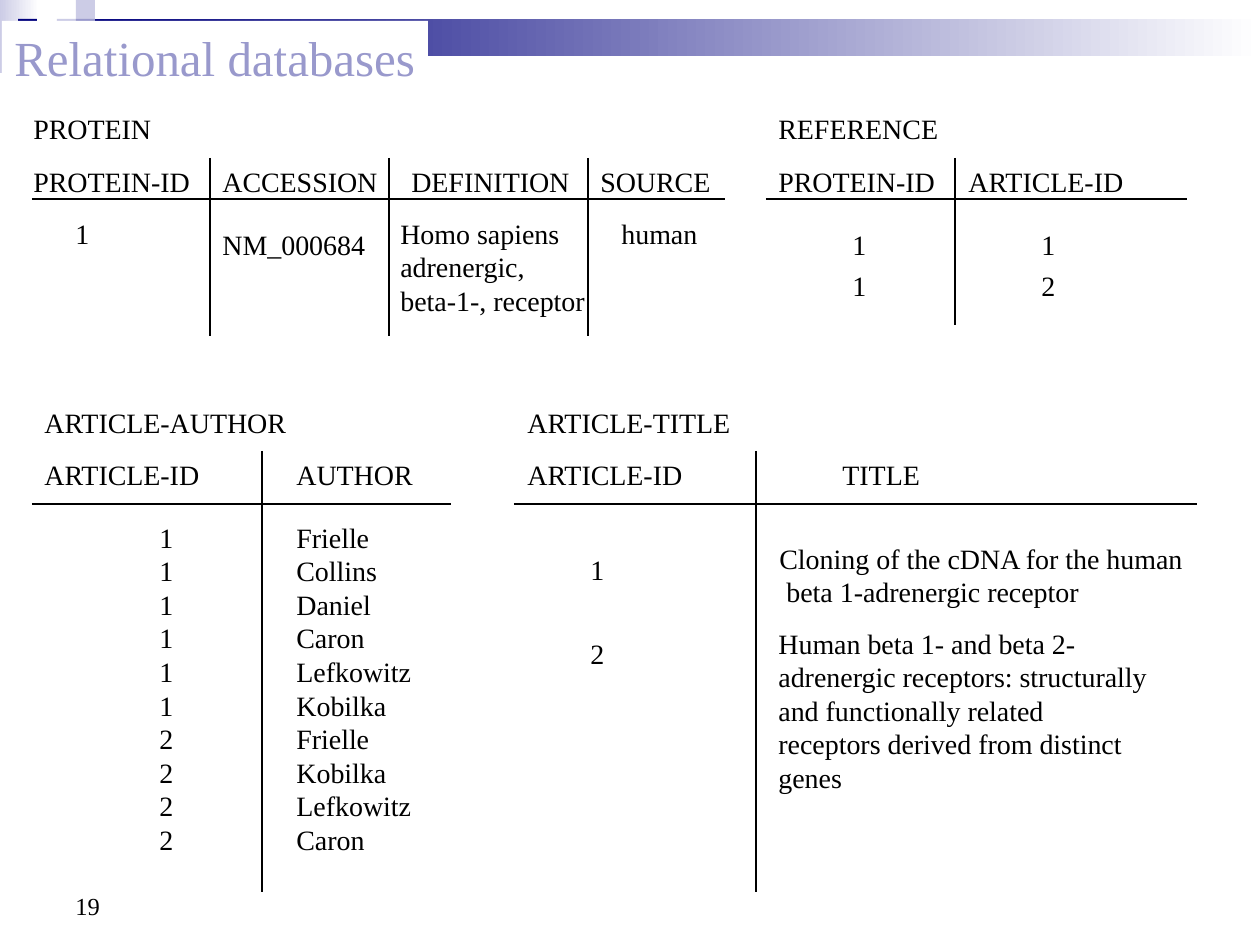
from lxml import etree
from pptx import Presentation
from pptx import util as u
from pptx.dml.color import RGBColor
from pptx.enum import shapes, text
from pptx.oxml.ns import qn

SCALE = 914400 / 126
FACE = "Times New Roman"
HUES = {"ink": "000000", "paper": "FFFFFF", "navy": "00007D",
        "mid": "9999CC", "pale": "CCCCE6"}
ROW = 47

TABLES = [
    {"rule": (32, 725, 199), "bars": (210, 389, 588), "span": (158, 336),
     "cells": [(21, 105, 146, "PROTEIN"), (21, 158, 185, "PROTEIN-ID"),
               (210, 158, 183, "ACCESSION"), (399, 158, 186, "DEFINITION"),
               (588, 158, 138, "SOURCE"), (63, 210, 39, "1"),
               (210, 221, 170, "NM_000684"), (609, 210, 103, "human")]},
    {"rule": (766, 1187, 199), "bars": (955,), "span": (158, 325),
     "cells": [(766, 105, 188, "REFERENCE"), (766, 158, 189, "PROTEIN-ID"),
               (956, 158, 184, "ARTICLE-ID"),
               (840, 221, 39, "1"), (1029, 221, 39, "1"),
               (840, 262, 39, "1"), (1029, 262, 39, "2")]},
    {"rule": (32, 451, 504), "bars": (262,), "span": (451, 892),
     "cells": [(32, 399, 270, "ARTICLE-AUTHOR"), (32, 451, 184, "ARTICLE-ID"),
               (284, 451, 146, "AUTHOR")]},
    {"rule": (514, 1197, 504), "bars": (756,), "span": (451, 892),
     "cells": [(515, 399, 232, "ARTICLE-TITLE"), (515, 451, 184, "ARTICLE-ID"),
               (830, 451, 107, "TITLE"),
               (578, 546, 39, "1"), (578, 630, 39, "2")]},
]
AUTHORS = [("1", "Frielle"), ("1", "Collins"), ("1", "Daniel"), ("1", "Caron"),
           ("1", "Lefkowitz"), ("1", "Kobilka"), ("2", "Frielle"),
           ("2", "Kobilka"), ("2", "Lefkowitz"), ("2", "Caron")]


def px(n):
    return u.Emu(round(n * SCALE))


def rgb(hue):
    return RGBColor.from_string(HUES[hue])


def apply(obj, form):
    for key, val in form.items():
        setattr(obj, key, val)


def band(slide, x, y, w, h, hue, fade=False):
    box = slide.shapes.add_shape(shapes.MSO_SHAPE.RECTANGLE,
                                 px(x), px(y), px(w), px(h))
    box.shadow.inherit = False
    box.line.fill.background()
    if fade:
        box.fill.gradient()
        box.fill.gradient_angle = 0
        for stop, tone, spot in zip(box.fill.gradient_stops,
                                    (hue, "paper"), (0, 1)):
            apply(stop, {"position": spot})
            stop.color.rgb = rgb(tone)
    else:
        box.fill.solid()
        box.fill.fore_color.rgb = rgb(hue)


def label(slide, x, y, w, h, *lines, wrap=False, size=16, hue="ink", **form):
    box = slide.shapes.add_textbox(px(x), px(y), px(w), px(h))
    frame = box.text_frame
    frame.text = "\n".join(lines)
    apply(frame, {"word_wrap": wrap,
                  "auto_size": text.MSO_AUTO_SIZE.SHAPE_TO_FIT_TEXT, **form})
    for para in frame.paragraphs:
        apply(para.font, {"name": FACE, "size": u.Pt(size)})
        para.font.color.rgb = rgb(hue)
    return box


def rule(slide, x1, y1, x2, y2):
    line = slide.shapes.add_connector(shapes.MSO_CONNECTOR.STRAIGHT,
                                      px(x1), px(y1), px(x2), px(y2))
    line.line.width = u.Pt(0.75)
    line.line.color.rgb = rgb("ink")
    etree.SubElement(line._element.spPr, qn("a:effectLst"))


def grid(slide, table):
    left, right, mid = table["rule"]
    top, end = table["span"]
    for x, y, w, word in table["cells"]:
        label(slide, x, y, w, ROW, word)
    rule(slide, left, mid, right, mid)
    for x in table["bars"]:
        rule(slide, x, top, x, end)


def header(slide):
    band(slide, 0, 0, 39, 73, "pale", fade=True)
    band(slide, 57, 19, 1203, 37, "navy", fade=True)
    for x, y, hue in [(57, 19, "pale"), (76, 0, "pale"),
                      (76, 19, "mid"), (18, 19, "navy")]:
        band(slide, x, y, 19, 19, hue)


def main():
    deck = Presentation()
    apply(deck, {"slide_width": px(1260), "slide_height": px(945)})
    slide = deck.slides.add_slide(deck.slide_layouts[6])
    header(slide)
    for table in TABLES:
        grid(slide, table)
    ids, names = zip(*AUTHORS)
    label(slide, 147, 514, 39, 349, *ids)
    label(slide, 284, 514, 143, 349, *names)
    label(slide, 388, 210, 215, 113, "Homo sapiens adrenergic,",
          "beta-1-, receptor", wrap=True)
    work = label(slide, 767, 535, 437, 113, "Cloning of the cDNA for the human",
                 "beta 1-adrenergic receptor")
    last = work.text_frame.paragraphs[1]
    last._p.get_or_add_pPr().set("marL", str(px(7)))
    label(slide, 766, 620, 399, 214,
          "Human beta 1- and beta 2-adrenergic receptors: structurally and "
          "functionally related receptors derived from distinct", "genes",
          wrap=True)
    label(slide, 63, 861, 294, 66, "19", wrap=True, size=14,
          auto_size=text.MSO_AUTO_SIZE.NONE,
          vertical_anchor=text.MSO_ANCHOR.BOTTOM)
    title = label(slide, 2, 21, 426, 72, "Relational databases",
                  size=28, hue="mid")
    title.fill.solid()
    title.fill.fore_color.rgb = rgb("paper")
    deck.save("out.pptx")


if __name__ == "__main__":
    main()
